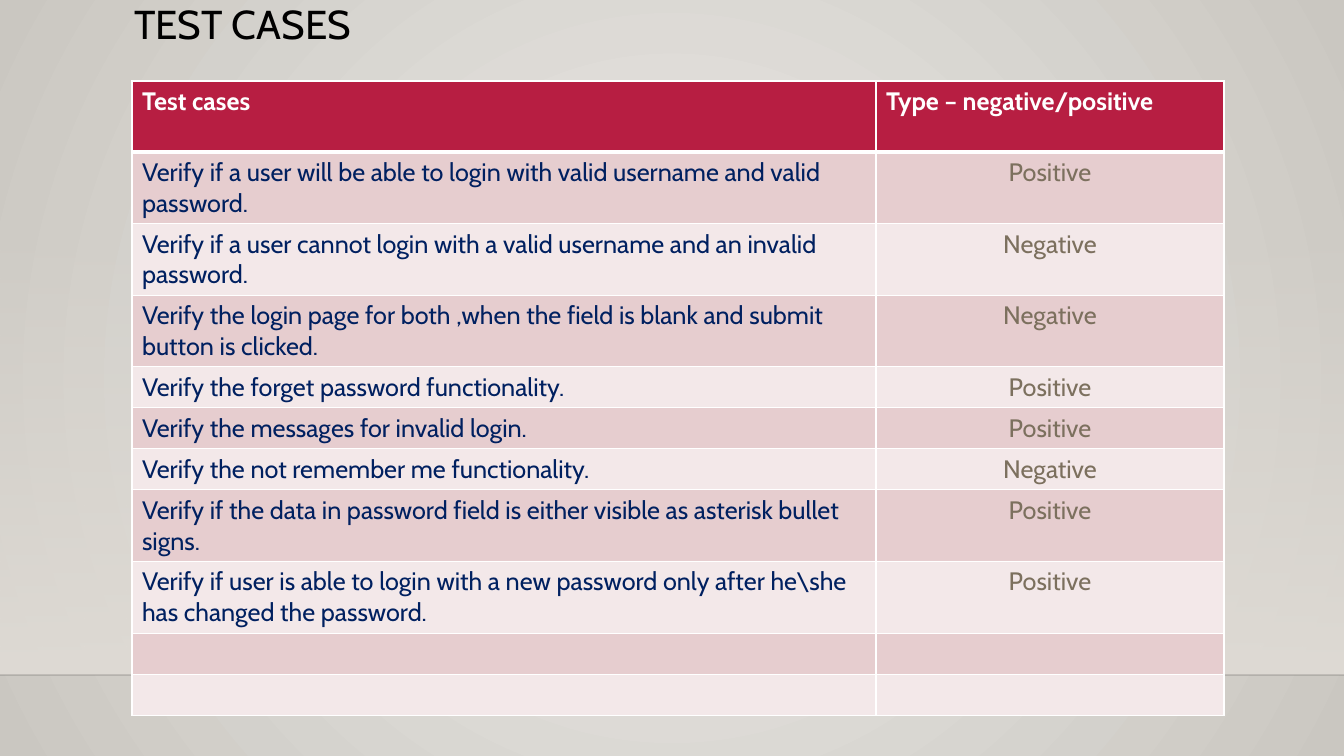
from lxml.etree import SubElement
from pptx import Presentation
from pptx.dml.color import RGBColor as Rgb
from pptx.enum.shapes import MSO_CONNECTOR as Conn, MSO_SHAPE as Kind
from pptx.enum.text import MSO_ANCHOR as Anchor, PP_ALIGN as Align
from pptx.oxml import parse_xml
from pptx.oxml.ns import nsdecls, qn
from pptx.util import Pt

PX = 914400 / 100.8
WIDE, HIGH = 1344, 756
FLOOR = 675
HEAD, TALL, LOW = 71, 71, 41

HUES = {
    "glow": "ECEAE7", "edge": "CAC7C1", "wall": "DFDBD5", "rule": "000001",
    "title": "000000", "head": "B71E42", "white": "FFFFFF",
    "case": "002060", "type": "7C705E", "odd": "E6CDCF", "even": "F3E8E9",
}

CASES = [
    ("Verify if a user will be able to login with valid username and valid password.", "Positive", TALL),
    ("Verify if a user cannot login with a valid username and an invalid password.", "Negative", TALL),
    ("Verify the login page for both ,when the field is blank and submit button is clicked.", "Negative", TALL),
    ("Verify the forget password functionality.", "Positive", LOW),
    ("Verify the messages for invalid login.", "Positive", LOW),
    ("Verify the not remember me functionality.", "Negative", LOW),
    ("Verify if the data in password field is either visible as asterisk bullet signs.", "Positive", TALL),
    ("Verify if user is able to login with a new password only after he\\she has changed the password.",
     "Positive", TALL),
    ("", "", LOW),
    ("", "", LOW),
]


def emu(*px):
    return [round(n * PX) for n in px]


def fade(stops, way):
    """Gradient fill from (position, hue, alpha) stops, all in percent."""
    marks = "".join(
        f'<a:gs pos="{pos * 1000}"><a:srgbClr val="{HUES[hue]}">'
        f'<a:alpha val="{alpha * 1000}"/></a:srgbClr></a:gs>'
        for pos, hue, alpha in stops)
    return parse_xml(f'<a:gradFill {nsdecls("a")} rotWithShape="1">'
                     f'<a:gsLst>{marks}</a:gsLst>{way}</a:gradFill>')


class Deck:
    def __init__(self, font):
        self.font = font
        self.pres = Presentation()
        self.pres.slide_width, self.pres.slide_height = emu(WIDE, HIGH)
        self.slide = self.pres.slides.add_slide(self.pres.slide_layouts[5])
        self.shapes = self.slide.shapes

    def swap(self, fill, node):
        """Put a gradient node in the place of a plain fill."""
        fill.solid()
        fill.fore_color.rgb = Rgb.from_string(HUES["wall"])
        return node

    def back(self):
        fill = self.slide.background.fill
        fill.solid()
        old = next(self.slide.element.iter(qn("a:solidFill")))
        way = ('<a:path path="circle"><a:fillToRect l="50000" t="50000" '
               'r="50000" b="50000"/></a:path>')
        old.getparent().replace(old, fade([(0, "glow", 100), (100, "edge", 100)], way))

    def wall(self, *box):
        shape = self.shapes.add_shape(Kind.RECTANGLE, *emu(*box))
        shape.shadow.inherit = False
        shape.line.fill.background()
        shape.fill.solid()
        old = shape.element.spPr.find(qn("a:solidFill"))
        way = '<a:lin ang="5400000" scaled="0"/>'
        old.getparent().replace(old, fade([(0, "wall", 0), (100, "wall", 100)], way))

    def rule(self, *ends):
        line = self.shapes.add_connector(Conn.STRAIGHT, *emu(*ends))
        line.line.width = Pt(1)
        line.line.color.rgb = Rgb.from_string(HUES["rule"])
        props = line.element.spPr
        SubElement(next(props.iter(qn("a:srgbClr"))), qn("a:alpha"), val="20000")
        SubElement(props, qn("a:effectLst"))

    def run(self, para, text, size, hue, bold=False):
        font = para.add_run()
        font.text = text
        font = font.font
        font.name, font.size, font.bold = self.font, Pt(size), bold
        font.color.rgb = Rgb.from_string(HUES[hue])

    def title(self, text, *box):
        shape = self.shapes.title
        shape.left, shape.top, shape.width, shape.height = emu(*box)
        frame = shape.text_frame
        frame.word_wrap = True
        frame.vertical_anchor = Anchor.TOP
        para = frame.paragraphs[0]
        para.alignment = Align.LEFT
        para.line_spacing = 0.9
        self.run(para, text, 28.8, "title")

    def cell(self, cell, text, hue, fill, align=Align.LEFT, bold=False, top=1, base=1):
        props = cell._tc.get_or_add_tcPr()
        for side, size in zip("LRTB", (1, 1, top, base)):
            edge = SubElement(props, qn(f"a:ln{side}"), w=str(Pt(size)))
            SubElement(SubElement(edge, qn("a:solidFill")), qn("a:srgbClr"), val=HUES["white"])
        cell.fill.solid()
        cell.fill.fore_color.rgb = Rgb.from_string(HUES[fill])
        para = cell.text_frame.paragraphs[0]
        para.alignment = align
        if text:
            self.run(para, text, 18, hue, bold)
        else:
            para.font.size = Pt(18)

    def table(self, heads, cases, left, top, cols):
        highs = [HEAD] + [high for *_, high in cases]
        grid = self.shapes.add_table(
            len(highs), len(cols), *emu(left, top, sum(cols), sum(highs))).table
        grid.first_row = grid.horz_banding = False
        for col, wide in zip(grid.columns, emu(*cols)):
            col.width = wide
        for row, high in zip(grid.rows, emu(*highs)):
            row.height = high
        for col, head in enumerate(heads):
            self.cell(grid.cell(0, col), head, "white", "head", bold=True, base=3)
        for row, (case, kind, _) in enumerate(cases, 1):
            fill = "odd" if row % 2 else "even"
            top = 3 if row == 1 else 1
            self.cell(grid.cell(row, 0), case, "case", fill, top=top)
            self.cell(grid.cell(row, 1), kind, "type", fill, Align.CENTER, top=top)


def main():
    deck = Deck("Cabin")
    deck.back()
    deck.wall(0, 223, WIDE, FLOOR - 223)
    deck.rule(0, FLOOR, WIDE, FLOOR)
    deck.title("TEST CASES", 124, 0, 1092, 64)
    deck.table(("Test cases", "Type – negative/positive"), CASES, 132, 81, (744, 348))
    deck.pres.save("out.pptx")


if __name__ == "__main__":
    main()
